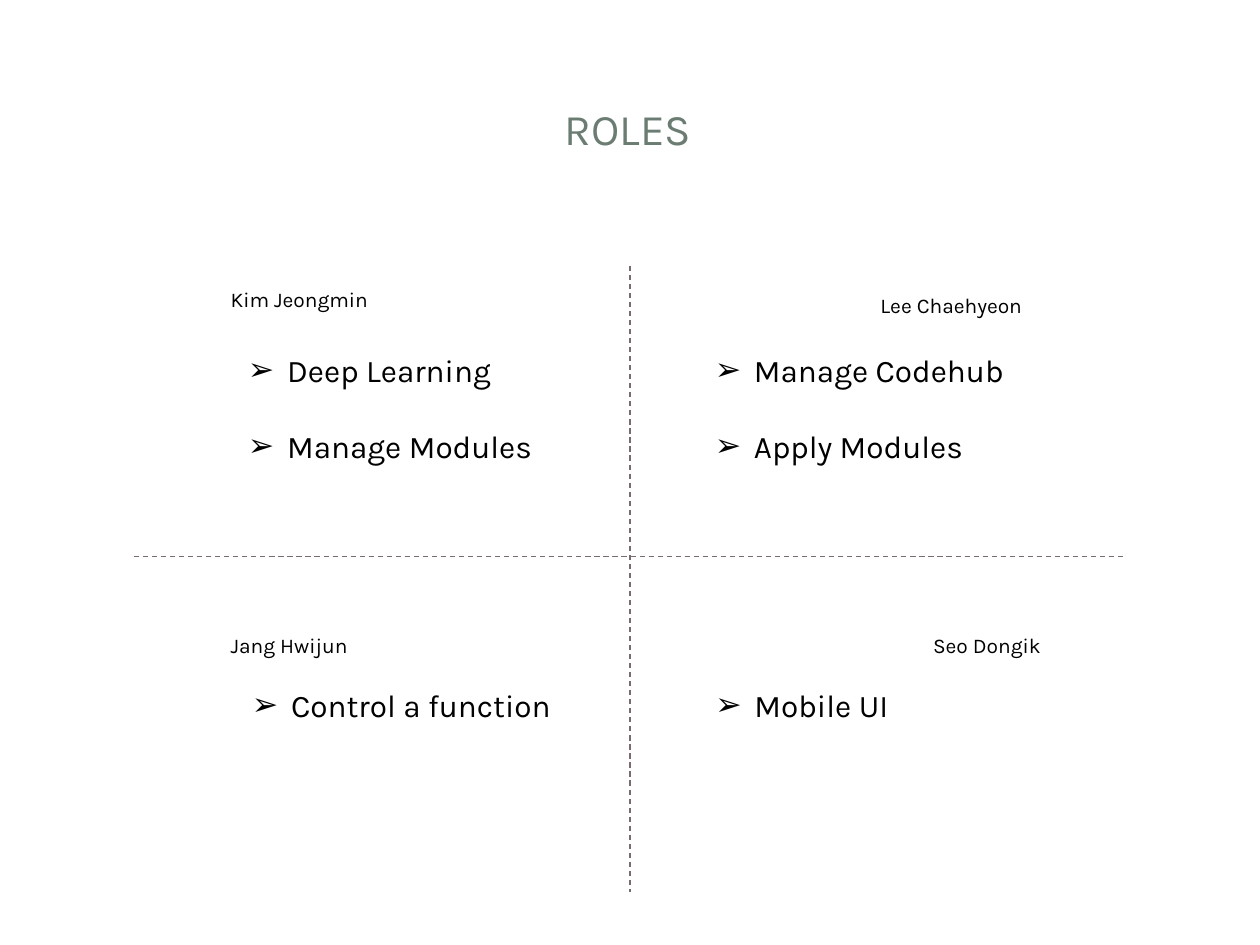
import pptx
import pptx.util
import pptx.dml.color
import pptx.enum.dml
import pptx.enum.shapes
import pptx.enum.text
import pptx.oxml.ns
import lxml.etree

Cm, Pt = pptx.util.Cm, pptx.util.Pt
MSO_SHAPE = pptx.enum.shapes.MSO_SHAPE
qn = pptx.oxml.ns.qn

COLORS = {"title": "6B7D72", "text": "000000", "line": "786C71", "panel": "FFFFFF"}


class Deck:
    font = "Karla"
    bullet_indent = Cm(0.79)
    bullet_gap = Pt(21.5)

    def __init__(self, prs):
        self.slide = prs.slides.add_slide(prs.slide_layouts[6])

    def color(self, name):
        return pptx.dml.color.RGBColor.from_string(COLORS[name])

    def style(self, p, size, color="text"):
        for r in p.runs:
            r.font.name = self.font
            r.font.size = Pt(size)
            r.font.color.rgb = self.color(color)

    def panel(self, x, y, w, h, shape=MSO_SHAPE.RECTANGLE, opacity=100):
        s = self.slide.shapes.add_shape(shape, Cm(x), Cm(y), Cm(w), Cm(h))
        s.shadow.inherit = False
        s.fill.solid()
        s.fill.fore_color.rgb = self.color("panel")
        s.line.fill.background()
        if opacity < 100:
            clr = s._element.spPr.find(qn("a:solidFill")).find(qn("a:srgbClr"))
            lxml.etree.SubElement(clr, qn("a:alpha"), val=str(opacity * 1000))
        return s

    def text(self, x, y, w, h, text, size=12, color="text"):
        s = self.slide.shapes.add_textbox(Cm(x), Cm(y), Cm(w), Cm(h))
        tf = s.text_frame
        tf.word_wrap = True
        tf.text = text
        for p in tf.paragraphs:
            self.style(p, size, color)
        return tf

    def title(self, x, y, w, h, text):
        tf = self.text(x, y, w, h, text, 25, "title")
        tf.vertical_anchor = pptx.enum.text.MSO_ANCHOR.MIDDLE
        tf.paragraphs[0].alignment = pptx.enum.text.PP_ALIGN.CENTER

    def bullets(self, x, y, w, h, items):
        tf = self.text(x, y, w, h, "\n".join(items), 18)
        for i, p in enumerate(tf.paragraphs):
            if i:
                p.space_before = self.bullet_gap
            pPr = p._p.get_or_add_pPr()
            pPr.set("marL", str(self.bullet_indent))
            pPr.set("indent", str(-self.bullet_indent))
            lxml.etree.SubElement(pPr, qn("a:buFont"), typeface=self.font)
            lxml.etree.SubElement(pPr, qn("a:buChar"), char="➢")

    def dashed_line(self, x1, y1, x2, y2):
        s = self.slide.shapes.add_connector(
            pptx.enum.shapes.MSO_CONNECTOR.STRAIGHT, Cm(x1), Cm(y1), Cm(x2), Cm(y2))
        s.line.color.rgb = self.color("line")
        s.line.width = Pt(0.75)
        s.line.dash_style = pptx.enum.dml.MSO_LINE.DASH
        lxml.etree.SubElement(s._element.spPr, qn("a:effectLst"))


def main():
    prs = pptx.Presentation()
    prs.slide_width, prs.slide_height = Cm(25.4), Cm(19.05)
    deck = Deck(prs)

    page = deck.panel(0.25, 0.28, 24.89, 18.52, MSO_SHAPE.ROUNDED_RECTANGLE)
    page.adjustments[0] = 0.02
    deck.panel(0.76, 0.76, 23.88, 3.68, opacity=83)
    deck.panel(1.04, 1.04, 23.29, 3.1)

    deck.title(1.19, 1.14, 22.94, 2.9, "ROLES")
    deck.dashed_line(2.7, 11.22, 22.7, 11.22)
    deck.dashed_line(12.7, 5.36, 12.7, 17.98)

    # name, its left, top and width; roles, their left and top
    members = [
        ("Kim Jeongmin", 4.4, 5.65, 3.56, ["Deep Learning", "Manage Modules"], 4.75, 6.96),
        ("Lee Chaehyeon", 17.5, 5.77, 3.96, ["Manage Codehub", "Apply Modules"], 14.16, 6.96),
        ("Jang Hwijun", 4.4, 12.62, 3.18, ["Control a function"], 4.83, 13.71),
        ("Seo Dongik", 18.56, 12.62, 2.92, ["Mobile UI"], 14.17, 13.7),
    ]
    for name, x, y, w, roles, roles_x, roles_y in members:
        deck.text(x, y, w, 0.76, name)
        deck.bullets(roles_x, roles_y, 7.19, 1.02 + 1.54 * (len(roles) - 1), roles)

    prs.save("out.pptx")


if __name__ == "__main__":
    main()
